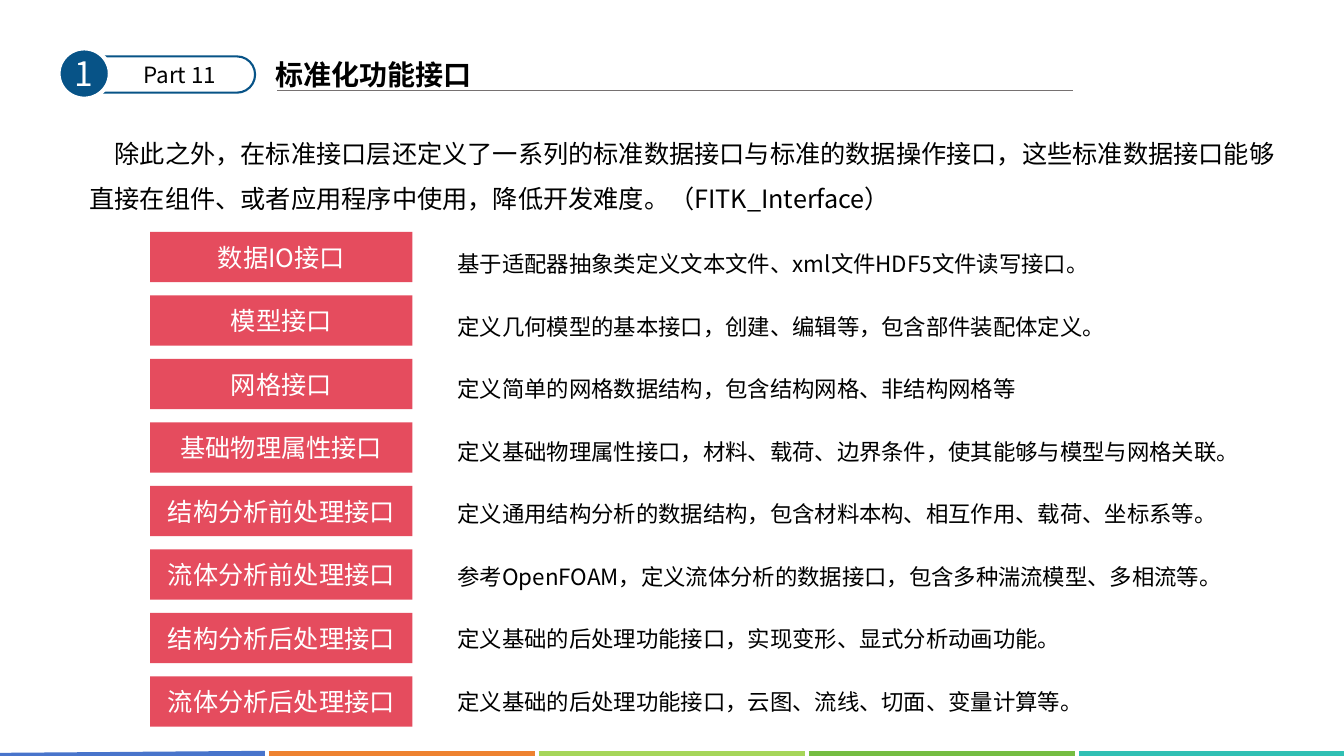
import pptx
import pptx.util
import pptx.dml.color
import pptx.enum.shapes
import pptx.enum.text
import pptx.oxml.ns
import pptx.oxml.xmlchemy
from dataclasses import dataclass

Inches = pptx.util.Inches
Pt = pptx.util.Pt
Shape = pptx.enum.shapes.MSO_SHAPE
Align = pptx.enum.text.PP_ALIGN
Anchor = pptx.enum.text.MSO_ANCHOR
qn = pptx.oxml.ns.qn
OxmlElement = pptx.oxml.xmlchemy.OxmlElement


@dataclass(frozen=True)
class Theme:
    font: str = "Noto Sans CJK SC"
    ink: str = "000000"
    white: str = "FFFFFF"
    navy: str = "075387"
    rule: str = "767171"
    label: str = "E54C5E"
    bars: tuple = ("4874CB", "EE822F", "A6D659", "75BD42", "30C0B4")
    number: int = 24
    title: int = 20
    body: int = 18
    small: int = 16


THEME = Theme()

INTERFACES = [
    ("数据IO接口", "基于适配器抽象类定义文本文件、xml文件HDF5文件读写接口。"),
    ("模型接口", "定义几何模型的基本接口，创建、编辑等，包含部件装配体定义。"),
    ("网格接口", "定义简单的网格数据结构，包含结构网格、非结构网格等"),
    ("基础物理属性接口", "定义基础物理属性接口，材料、载荷、边界条件，使其能够与模型与网格关联。"),
    ("结构分析前处理接口", "定义通用结构分析的数据结构，包含材料本构、相互作用、载荷、坐标系等。"),
    ("流体分析前处理接口", "参考OpenFOAM，定义流体分析的数据接口，包含多种湍流模型、多相流等。"),
    ("结构分析后处理接口", "定义基础的后处理功能接口，实现变形、显式分析动画功能。"),
    ("流体分析后处理接口", "定义基础的后处理功能接口，云图、流线、切面、变量计算等。"),
]

INTRO = ("除此之外，在标准接口层还定义了一系列的标准数据接口与标准的数据操作接口，"
         "这些标准数据接口能够直接在组件、或者应用程序中使用，降低开发难度。（FITK_Interface）")


def rgb(color):
    return pptx.dml.color.RGBColor.from_string(color)


def write(sp, text, size=THEME.body, color=THEME.ink, bold=False, align=Align.LEFT,
          anchor=Anchor.TOP, spacing=1.0, indent=0, margin=None):
    tf = sp.text_frame
    tf.word_wrap = True
    tf.auto_size = pptx.enum.text.MSO_AUTO_SIZE.NONE
    tf.vertical_anchor = anchor
    if margin is not None:
        tf.margin_left = tf.margin_right = Inches(margin)
    p = tf.paragraphs[0]
    p.alignment = align
    p.line_spacing = spacing
    if indent:
        p._p.get_or_add_pPr().set("indent", str(Inches(indent)))
    r = p.add_run()
    r.text = text
    r.font.name = THEME.font
    r.font.size = Pt(size)
    r.font.bold = bold
    r.font.color.rgb = rgb(color)
    ea = OxmlElement("a:ea")
    ea.set("typeface", THEME.font)
    r._r.get_or_add_rPr().find(qn("a:latin")).addnext(ea)


def add_text(s, x, y, w, h, text, **fmt):
    sp = s.shapes.add_textbox(Inches(x), Inches(y), Inches(w), Inches(h))
    write(sp, text, **fmt)


def add_box(s, kind, x, y, w, h, fill, line=None, weight=1):
    sp = s.shapes.add_shape(kind, Inches(x), Inches(y), Inches(w), Inches(h))
    sp.shadow.inherit = False
    sp.fill.solid()
    sp.fill.fore_color.rgb = rgb(fill)
    if line:
        sp.line.color.rgb = rgb(line)
        sp.line.width = Pt(weight)
    else:
        sp.line.fill.background()
    return sp


def add_line(s, x1, y1, x2, y2, color, weight):
    line = s.shapes.add_connector(pptx.enum.shapes.MSO_CONNECTOR.STRAIGHT,
                                  Inches(x1), Inches(y1), Inches(x2), Inches(y2))
    line.line.color.rgb = rgb(color)
    line.line.width = Pt(weight)
    line._element.spPr.append(OxmlElement("a:effectLst"))


def footer_bars(s, x, y, w):
    gap = 0.04
    bar = (w - gap * (len(THEME.bars) - 1)) / len(THEME.bars)
    for i, color in enumerate(THEME.bars):
        left = x + i * (bar + gap)
        add_line(s, left, y + (0.02 if i == 0 else 0), left + bar, y, color, 4.5)


def heading(s, x, y, w, title):
    add_line(s, x + 0.12, y + 0.38, x + 8.01, y + 0.38, THEME.rule, 1)
    sp = s.shapes.title
    sp.left, sp.top = Inches(x), Inches(y)
    sp.width, sp.height = Inches(w), Inches(0.44)
    write(sp, title, size=THEME.title, bold=True)


def part_badge(s, x, y, number, part):
    pill = add_box(s, Shape.ROUNDED_RECTANGLE, x + 0.07, y + 0.08, 1.88, 0.36,
                   THEME.white, THEME.navy, 1.5)
    pill.adjustments[0] = 0.5
    disc = add_box(s, Shape.OVAL, x, y, 0.51, 0.5, THEME.navy, THEME.white, 3)
    write(disc, number, size=THEME.number, color=THEME.white, align=Align.CENTER,
          anchor=Anchor.MIDDLE, margin=0)
    add_text(s, x + 0.23, y + 0.08, 1.95, 0.37, part, size=THEME.small, align=Align.CENTER)


def interface_list(s, x, y, h, rows):
    row_h = 0.5
    label_pitch = (h - row_h) / (len(rows) - 1)
    note_pitch = label_pitch - 0.01
    for i, (name, note) in enumerate(rows):
        label = add_box(s, Shape.RECTANGLE, x, y + i * label_pitch, 2.6, row_h, THEME.label)
        write(label, name, color=THEME.white, align=Align.CENTER, anchor=Anchor.MIDDLE)
        add_text(s, x + 2.95, y + i * note_pitch, 7.84, row_h, note,
                 size=THEME.small, anchor=Anchor.MIDDLE, spacing=1.5)


def main():
    prs = pptx.Presentation()
    prs.slide_width, prs.slide_height = Inches(13.33), Inches(7.5)
    s = prs.slides.add_slide(prs.slide_layouts[5])
    footer_bars(s, -0.01, 7.48, 13.35)
    heading(s, 2.63, 0.52, 8.86, "标准化功能接口")
    part_badge(s, 0.58, 0.48, "1", "Part 11")
    add_text(s, 0.79, 1.17, 12.03, 1.01, INTRO, spacing=1.5, indent=0.25)
    interface_list(s, 1.49, 2.3, 4.91, INTERFACES)
    prs.save("out.pptx")


if __name__ == "__main__":
    main()
